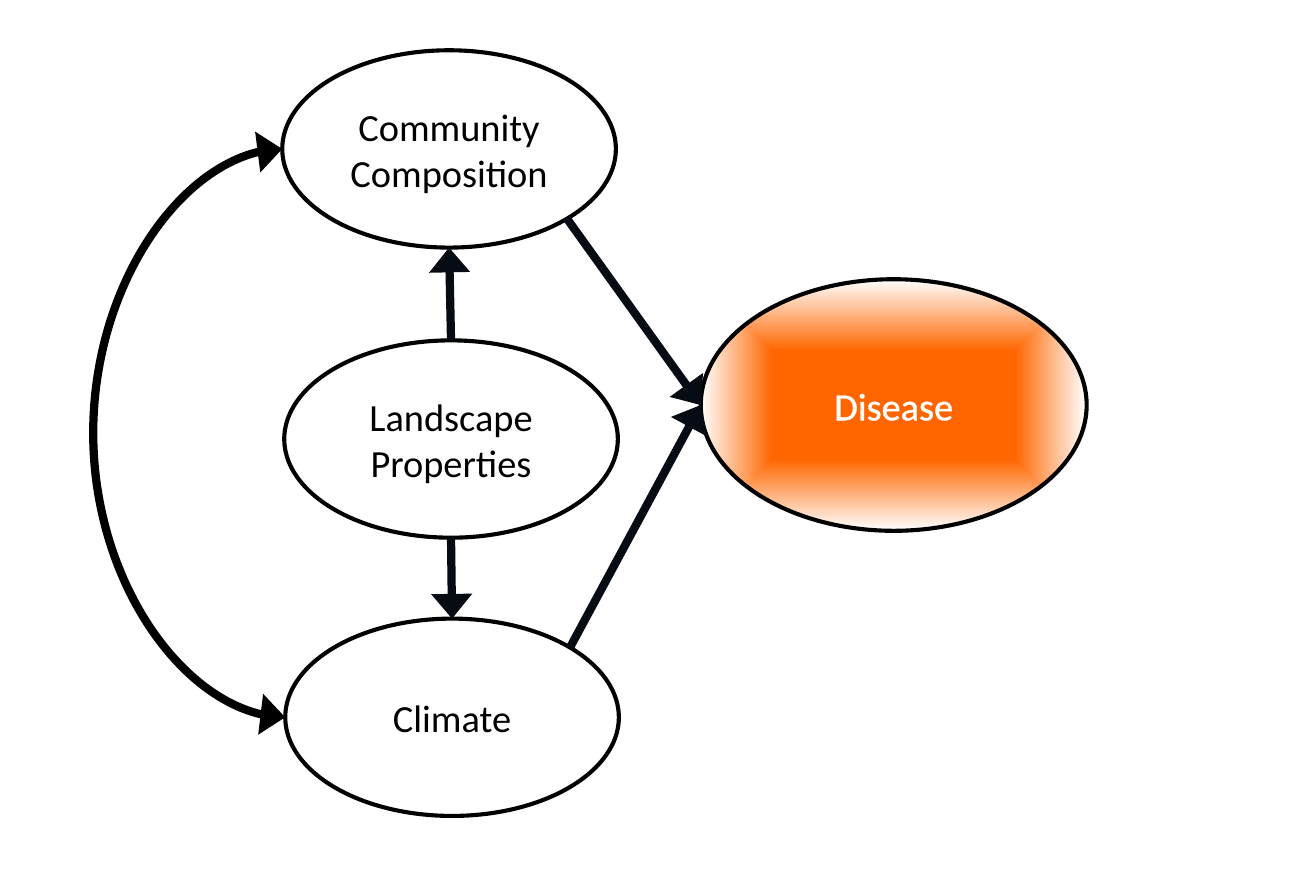
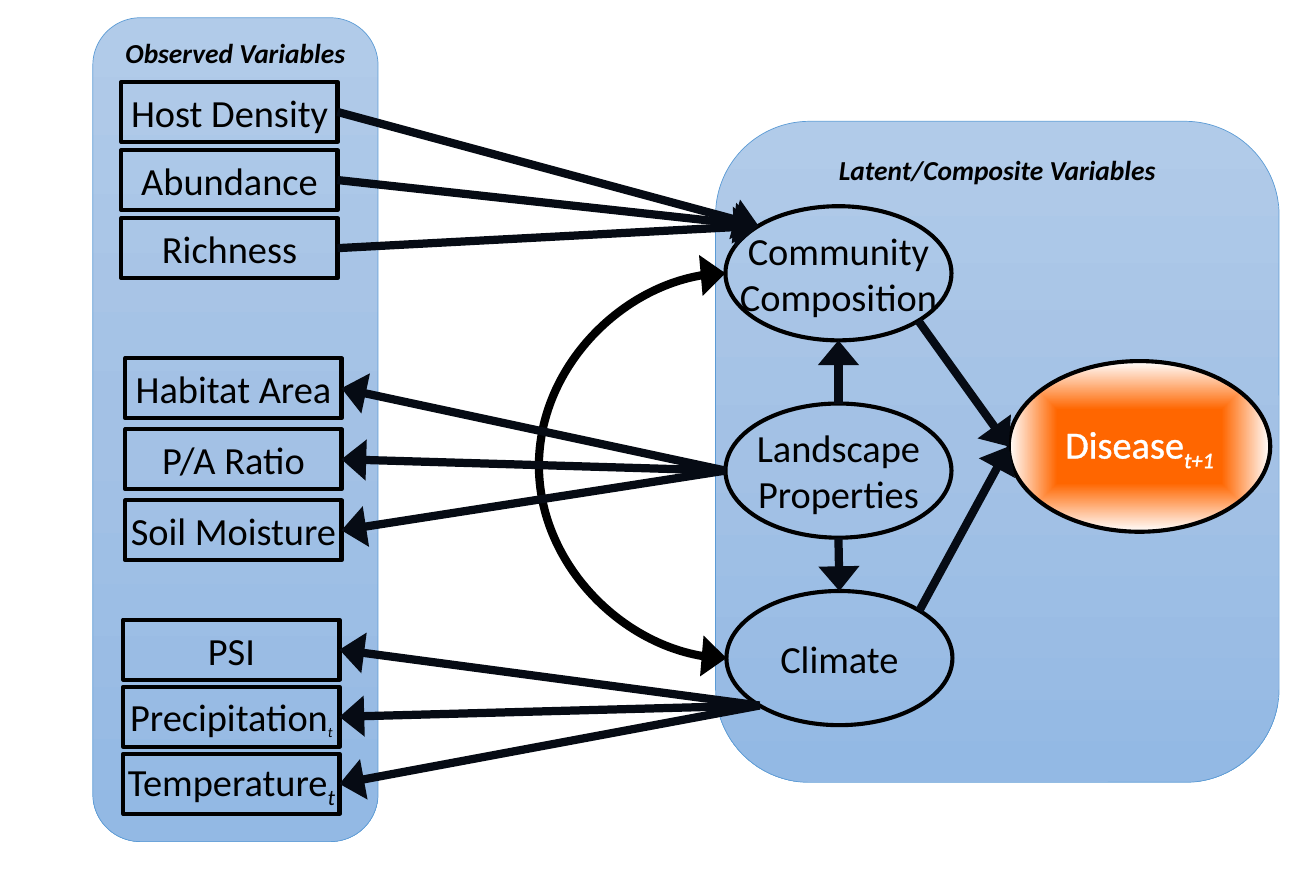
import pptx
import pptx.dml.color
import pptx.enum.shapes
import pptx.enum.text
import pptx.oxml
import pptx.oxml.ns
import pptx.util
import lxml.etree
import math

Inches = pptx.util.Inches
Pt = pptx.util.Pt
qn = pptx.oxml.ns.qn
SHAPES = pptx.enum.shapes.MSO_SHAPE
CONNECTORS = pptx.enum.shapes.MSO_CONNECTOR
rgb = pptx.dml.color.RGBColor.from_string

# Shared style
BLACK, WHITE, ARROW, PANEL_EDGE = "000000", "FFFFFF", "060B14", "5B9BD5"
FONT = "Calibri"
GLOW = [(43, "FF6600"), (100, WHITE)]
SKY = [(0, "B1CBE9"), (50, "A3C1E5"), (100, "93B9E4")]
RADIAL = ('<a:path path="shape"><a:fillToRect l="50000" t="50000" '
          'r="50000" b="50000"/></a:path>')
DOWNWARD = '<a:lin ang="5400000" scaled="0"/>'
NAMESPACE = pptx.oxml.ns.nsdecls("a")
# Connection sites run anticlockwise from the top
TOP, LEFT, LOWER_LEFT, BOTTOM, LOWER_RIGHT, UPPER_RIGHT = 0, 2, 3, 4, 5, 7
UPPER_LEFT, BOX_RIGHT = 1, 3
BULGE = 1.92


def add_node(slide, kind, left, top, width, height, text, subscript="",
             subscript_size=28, colour=BLACK, stops=None, direction=""):
    node = slide.shapes.add_shape(
        kind, Inches(left), Inches(top), Inches(width), Inches(height))
    node.shadow.inherit = False
    node.fill.background()
    if stops:
        marks = "".join(f'<a:gs pos="{share * 1000}"><a:srgbClr val="{tint}"/></a:gs>'
                        for share, tint in stops)
        properties = node._element.spPr
        properties.replace(properties.find(qn("a:noFill")), pptx.oxml.parse_xml(
            f'<a:gradFill {NAMESPACE} rotWithShape="1">'
            f'<a:gsLst>{marks}</a:gsLst>{direction}</a:gradFill>'))
    node.line.color.rgb = rgb(BLACK)
    node.line.width = Pt(3)

    frame = node.text_frame
    frame.word_wrap = False
    frame.vertical_anchor = pptx.enum.text.MSO_ANCHOR.MIDDLE
    frame.margin_left = frame.margin_right = Inches(0.09)
    frame.margin_top = frame.margin_bottom = Inches(0.04)
    for number, words in enumerate(text.split("\n")):
        paragraph = frame.add_paragraph() if number else frame.paragraphs[0]
        paragraph.alignment = pptx.enum.text.PP_ALIGN.CENTER
        for part, size in ((words, 28), (subscript, subscript_size)):
            if part:
                run = paragraph.add_run()
                run.text = part
                run.font.name = FONT
                run.font.size = Pt(size)
                run.font.color.rgb = rgb(colour)
                if kind != SHAPES.ROUNDED_RECTANGLE:
                    run._r.get_or_add_rPr().insert(0, pptx.oxml.parse_xml(
                        f'<a:ln {NAMESPACE} w="{Pt(1.45)}"><a:solidFill>'
                        f'<a:srgbClr val="{colour}"/></a:solidFill></a:ln>'))
                if part == subscript:
                    run.font.italic = True
                    run._r.get_or_add_rPr().set("baseline", "-25000")
    return node


def add_link(slide, start, start_site, end, end_site, curved=False):
    points = []
    for node, site in ((start, start_site), (end, end_site)):
        step = 45 if node.auto_shape_type == SHAPES.OVAL else 90
        angle = math.radians(site * step)
        points += [round(node.left + node.width / 2 * (1 - math.sin(angle))),
                   round(node.top + node.height / 2 * (1 - math.cos(angle)))]
    link = slide.shapes.add_connector(
        CONNECTORS.CURVE if curved else CONNECTORS.STRAIGHT, *points)
    link.line.color.rgb = rgb(BLACK if curved else ARROW)
    link.line.width = Pt(6)
    properties = link._element.spPr
    if curved:
        guides = properties.find(qn("a:prstGeom")).find(qn("a:avLst"))
        bend = round(-Inches(BULGE) / link.width * 100000)
        lxml.etree.SubElement(guides, qn("a:gd"), name="adj1", fmla=f"val {bend}")
    for tip in ("a:headEnd", "a:tailEnd") if curved else ("a:tailEnd",):
        lxml.etree.SubElement(properties.find(qn("a:ln")), qn(tip),
                              type="triangle", w="lg", len="med")
    lxml.etree.SubElement(properties, qn("a:effectLst"))
    # Glue both ends to their nodes
    glue = link._element.nvCxnSpPr.cNvCxnSpPr
    for tag, node, site in (("a:stCxn", start, start_site), ("a:endCxn", end, end_site)):
        lxml.etree.SubElement(glue, qn(tag), id=str(node.shape_id), idx=str(site))


deck = pptx.Presentation()
deck.slide_width = Inches(40 / 3)
deck.slide_height = Inches(9)
blank = deck.slide_layouts[6]
concept, full_model = [deck.slides.add_slide(blank) for _ in range(2)]

# Panels behind the full model
for left, top, width, height, heading in (
        (7.25, 1.23, 5.71, 6.7, "Latent/Composite Variables"),
        (0.94, 0.18, 2.89, 8.35, "Observed Variables")):
    panel = add_node(full_model, SHAPES.ROUNDED_RECTANGLE, left, top, width, height,
                     heading, stops=SKY, direction=DOWNWARD)
    panel.line.color.rgb = rgb(PANEL_EDGE)
    panel.line.width = Pt(0.5)
    panel.text_frame.vertical_anchor = pptx.enum.text.MSO_ANCHOR.TOP
    heading_font = panel.text_frame.paragraphs[0].runs[0].font
    heading_font.size = Pt(20)
    heading_font.bold = heading_font.italic = True

# Factors and disease, linked alike on both slides
factor_names = ("Community\nComposition", "Landscape\nProperties", "Climate")
for slide, corners, factor_size, disease_box, time_step in (
        (concept, ((2.86, 0.51), (2.88, 3.45), (2.89, 6.27)), (3.38, 2),
         (7.1, 2.83, 3.91, 2.55), ""),
        (full_model, ((7.35, 2.09), (7.35, 4.09), (7.36, 5.99)), (2.29, 1.36),
         (10.22, 3.66, 2.65, 1.73), "t+1")):
    disease = add_node(slide, SHAPES.OVAL, *disease_box, "Disease", time_step,
                       colour=WHITE, stops=GLOW, direction=RADIAL)
    community, landscape, climate = [
        add_node(slide, SHAPES.OVAL, *corner, *factor_size, name)
        for corner, name in zip(corners, factor_names)]
    add_link(slide, community, LEFT, climate, LEFT, curved=True)
    add_link(slide, landscape, TOP, community, BOTTOM)
    add_link(slide, landscape, BOTTOM, climate, TOP)
    add_link(slide, community, LOWER_RIGHT, disease, LEFT)
    add_link(slide, climate, UPPER_RIGHT, disease, LEFT)

# Observed variables; the factors are those of the full model
for factor, site, is_cause, left, first_top, pitch, variables in (
        (community, UPPER_LEFT, True, 1.23, 0.83, 0.69,
         (("Host Density",), ("Abundance",), ("Richness",))),
        (landscape, LEFT, False, 1.27, 3.63, 0.72,
         (("Habitat Area",), ("P/A Ratio",), ("Soil Moisture",))),
        (climate, LOWER_LEFT, False, 1.25, 6.28, 0.68,
         (("PSI",), ("Precipitation", "t", 18), ("Temperature", "t")))):
    for row, label in enumerate(variables):
        variable = add_node(full_model, SHAPES.RECTANGLE, left, first_top + row * pitch,
                            2.19, 0.61, *label)
        if is_cause:
            add_link(full_model, variable, BOX_RIGHT, factor, site)
        else:
            add_link(full_model, factor, site, variable, BOX_RIGHT)

deck.save("out.pptx")
